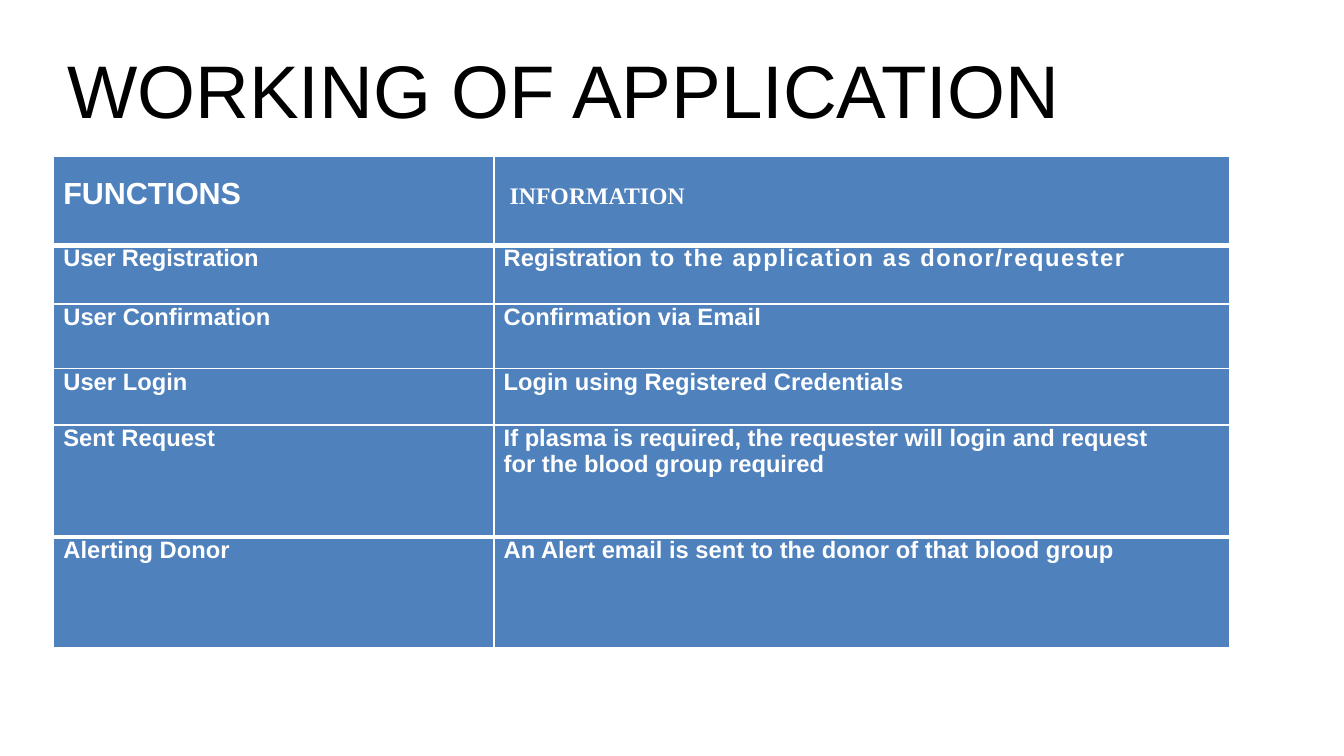
from dataclasses import dataclass
from typing import Optional

from lxml.etree import SubElement
from pptx import Presentation
from pptx.dml.color import RGBColor
from pptx.enum.text import MSO_ANCHOR, PP_ALIGN
from pptx.oxml.ns import qn
from pptx.util import Cm, Pt

COLOURS = {"title": "000000", "cell": "4F81BD", "light": "FFFFFF"}
COLUMN_WIDTHS = (9.17, 15.32)
HEADER_TOP = 0.57
THIN, THICK = 1, 3


@dataclass(frozen=True)
class Span:
    """A stretch of evenly formatted text."""
    text: str
    size: float = 14
    font: str = "Arial"
    bold: bool = True
    colour: str = "light"
    tracking: float = 0


@dataclass(frozen=True)
class Step:
    """One table row: a function and what it does."""
    height: float
    function: Span
    information: tuple[Span, ...]
    top_margin: float = 0
    right_margin: float = 0
    function_leading: Optional[float] = None
    top_rule: int = THIN
    bottom_rule: int = THIN


STEPS = (
    Step(1.85, Span("FUNCTIONS", size=18),
         (Span(" INFORMATION ", font="Times New Roman"),),
         top_margin=HEADER_TOP, function_leading=16.1, bottom_rule=THICK),
    Step(1.22, Span("User Registration", tracking=-0.1),
         (Span("Registration"),
          Span(" to the application as donor/requester", tracking=0.9)),
         top_rule=THICK),
    Step(1.35, Span("User Confirmation"), (Span("Confirmation via Email"),)),
    Step(1.17, Span("User Login"), (Span("Login using Registered Credentials"),)),
    Step(2.34, Span("Sent Request"),
         (Span("If plasma is required, the requester will login and request "
               "for the blood group required"),),
         right_margin=1.2, bottom_rule=THICK),
    Step(2.31, Span("Alerting Donor"),
         (Span("An Alert email is sent to the donor of that blood group"),),
         top_rule=THICK),
)


def colour(name: str) -> RGBColor:
    """Look up a named colour."""
    return RGBColor.from_string(COLOURS[name])


def add_span(paragraph, span: Span) -> None:
    """Append a formatted run to a paragraph."""
    run = paragraph.add_run()
    run.text = span.text
    run.font.size = Pt(span.size)
    run.font.name = span.font
    run.font.bold = span.bold
    run.font.color.rgb = colour(span.colour)
    if span.tracking:
        run.font._element.set("spc", str(round(span.tracking * 100)))


def add_rules(cell, top: int, bottom: int) -> None:
    """Draw the four borders of a cell."""
    properties = cell._tc.get_or_add_tcPr()
    for side, width in (("L", THIN), ("R", THIN), ("T", top), ("B", bottom)):
        line = SubElement(properties, qn(f"a:ln{side}"), w=str(Pt(width)))
        fill = SubElement(line, qn("a:solidFill"))
        SubElement(fill, qn("a:srgbClr"), val=COLOURS["light"])


def fill_cell(cell, spans: tuple[Span, ...], step: Step,
              leading: Optional[float] = None) -> None:
    """Format one cell and write its text."""
    add_rules(cell, step.top_rule, step.bottom_rule)
    cell.fill.solid()
    cell.fill.fore_color.rgb = colour("cell")
    cell.margin_left = Cm(0.2)
    cell.margin_right = Cm(step.right_margin)
    cell.margin_top = Cm(step.top_margin)
    cell.margin_bottom = Cm(0)
    cell.vertical_anchor = MSO_ANCHOR.TOP
    paragraph = cell.text_frame.paragraphs[0]
    if leading:
        paragraph.line_spacing = Pt(leading)
    for span in spans:
        add_span(paragraph, span)


def add_heading(slide) -> None:
    """Place and write the slide title."""
    heading = slide.shapes.title
    heading.left, heading.top = Cm(1.4), Cm(0.64)
    heading.width, heading.height = Cm(25.2), Cm(2.64)
    frame = heading.text_frame
    frame.margin_left = frame.margin_right = Cm(0)
    frame.margin_top = frame.margin_bottom = Cm(0)
    frame.vertical_anchor = MSO_ANCHOR.MIDDLE
    frame.word_wrap = True
    paragraph = frame.paragraphs[0]
    paragraph.alignment = PP_ALIGN.LEFT
    paragraph.line_spacing = 0.9
    add_span(paragraph, Span("WORKING OF APPLICATION", size=44, bold=False,
                             colour="title"))


def add_steps(slide) -> None:
    """Build the table of application functions."""
    steps = slide.shapes.add_table(
        len(STEPS), len(COLUMN_WIDTHS), Cm(1.12), Cm(3.26),
        Cm(sum(COLUMN_WIDTHS)), Cm(sum(step.height for step in STEPS))).table
    steps.first_row = steps.horz_banding = False
    for column, width in zip(steps.columns, COLUMN_WIDTHS):
        column.width = Cm(width)
    for row, step in zip(steps.rows, STEPS):
        row.height = Cm(step.height)
        function, information = row.cells
        fill_cell(function, (step.function,), step, step.function_leading)
        fill_cell(information, step.information, step)


def main() -> None:
    """Build and save the presentation."""
    presentation = Presentation()
    presentation.slide_width, presentation.slide_height = Cm(27.99), Cm(15.75)
    title_only = presentation.slide_layouts[5]
    slide = presentation.slides.add_slide(title_only)
    add_heading(slide)
    add_steps(slide)
    presentation.save("out.pptx")


main()
